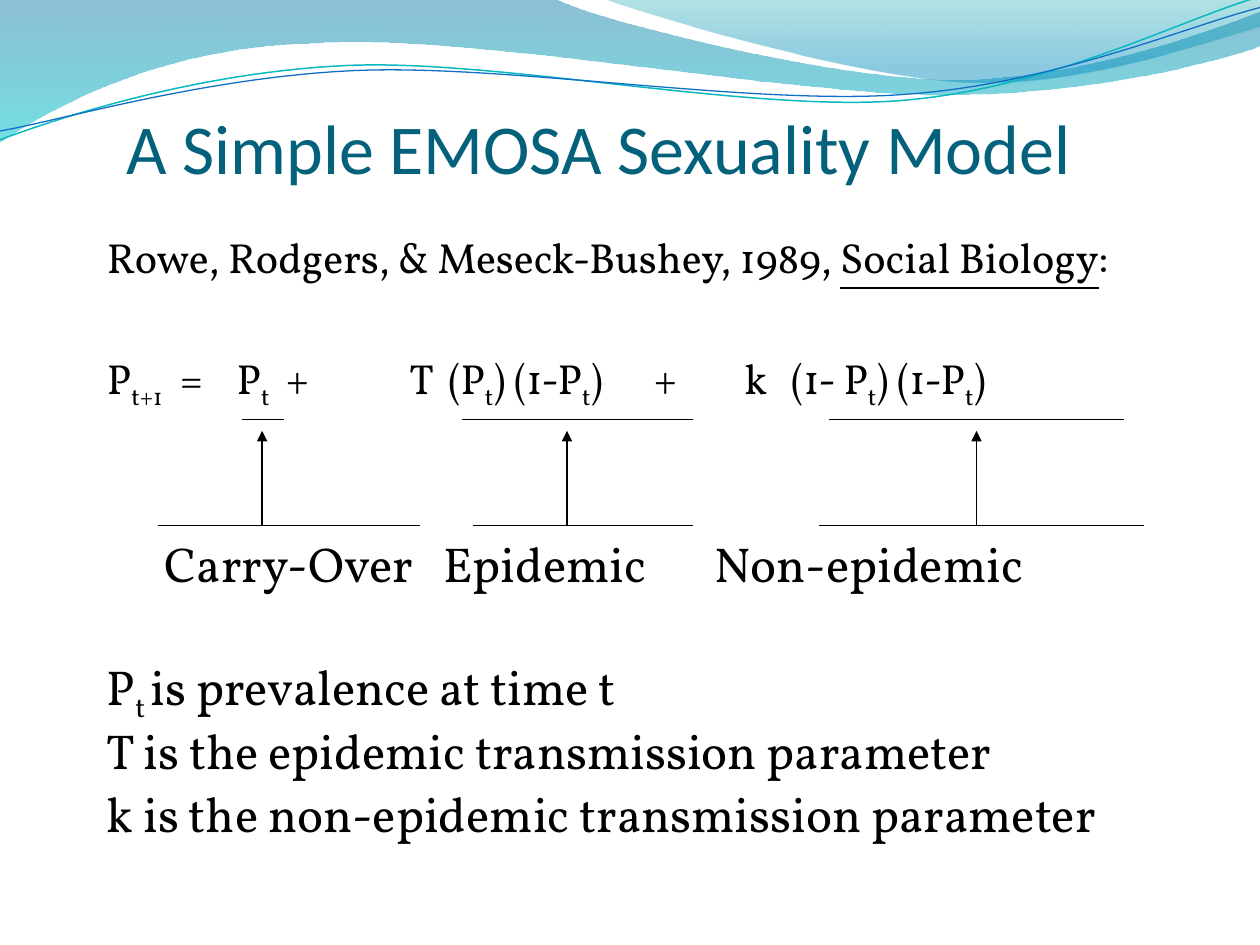
from pptx import Presentation
from pptx.dml.color import RGBColor
from pptx.enum.shapes import MSO_CONNECTOR
from pptx.enum.text import MSO_ANCHOR, MSO_AUTO_SIZE, PP_ALIGN
from pptx.oxml.ns import qn
from pptx.util import Inches, Pt
from lxml.etree import SubElement

BLACK = RGBColor(0x00, 0x00, 0x00)
TITLE = RGBColor(0x04, 0x61, 0x7B)
DEEP = RGBColor(0x00, 0x74, 0xA1)
AQUA = RGBColor(0x00, 0xC6, 0xCF)
TEAL = RGBColor(0x00, 0xA1, 0xA9)
SKY = RGBColor(0x00, 0x8B, 0xBF)
CYAN = RGBColor(0x0A, 0xB8, 0xBF)
BLUE = RGBColor(0x0F, 0x6F, 0xC6)

BANDS = [
    ([(0, 0), (4.4, -0.01),
      (4.76, 0.17, 6.64, 0.63, 7.58, 0.63), (8.53, 0.63, 9.58, 0.26, 10, 0.09),
      (10.01, 0.36),
      (9.83, 0.44, 8.7, 0.76, 7.46, 0.75), (6.22, 0.75, 3.82, 0.28, 2.57, 0.34),
      (1.29, 0.36, 0.46, 0.83, -0.01, 1.13)],
     [(0, DEEP, 45), (1, AQUA, 55)]),
    ([(4.79, -0.01),
      (5.09, 0.11, 6.82, 0.62, 7.69, 0.65), (8.56, 0.69, 9.61, 0.32, 10, 0.21),
      (10, 0)],
     [(0, TEAL, 30), (0.8, SKY, 45)]),
]
STRANDS = [
    ([(0, 1.11), (0.48, 0.93, 1.58, 0.57, 2.77, 0.52),
      (3.95, 0.47, 5.93, 0.89, 7.13, 0.8), (8.33, 0.71, 9.38, 0.15, 9.98, -0.02)],
     CYAN, 0.85),
    ([(0, 1.04), (0.47, 0.96, 1.64, 0.61, 2.83, 0.56),
      (4.03, 0.51, 5.97, 0.84, 7.17, 0.75), (8.36, 0.67, 9.41, 0.21, 10, 0.06)],
     BLUE, 0.75),
]

LINES = [
    ("Rowe, Rodgers, & Meseck-Bushey, 1989, _Social Biology_:",
     {"underline": True}, 24, 0, 26, []),
    ("P_t+1_\t=\tP_t_\t+\tT\t(P_t_) (1-P_t_)\t+\tk\t(1- P_t_) (1-P_t_)",
     None, 24, 41, 32, [0.58, 1.03, 1.42, 2.4, 2.71, 4.34, 5.06, 5.43]),
    ("\tCarry-Over\tEpidemic\tNon-epidemic", None, 28, 68, 36, [0.46, 2.67, 4.82]),
    ("P_t _is prevalence at time t", None, 28, 39, 36, []),
    ("T is the epidemic transmission parameter", None, 28, 0, 32, []),
    ("k is the non-epidemic transmission parameter", None, 28, 0, 36, []),
]

TERMS = [
    (0.83, (0, 2.08), (0.67, 1)),
    (3.25, (2.5, 4.25), (2.42, 4.25)),
    (6.5, (5.25, 7.83), (5.33, 7.67)),
]


def apply(item, style):
    for name, value in style.items():
        setattr(item, name, value)


def add_curve(slide, box, steps, close):
    left, top = box[:2]
    dots = [(left + Inches(s[-2]), top + Inches(s[-1])) for s in steps]
    pen = slide.shapes.build_freeform(*dots[0], scale=1.0)
    pen.add_line_segments(dots[1:], close=close)
    shape = pen.convert_to_shape()
    shape.shadow.inherit = False
    edges = list(shape._element.iter(qn("a:lnTo")))
    for edge, step in zip(edges, steps[1:]):
        if len(step) == 6:
            edge.clear()
            bend = SubElement(edge.getparent(), qn("a:cubicBezTo"))
            edge.getparent().replace(edge, bend)
            for x, y in zip(step[::2], step[1::2]):
                knot = SubElement(bend, qn("a:pt"))
                knot.set("x", str(left + Inches(x) - shape.left))
                knot.set("y", str(top + Inches(y) - shape.top))
    return shape


def add_waves(slide, box):
    for steps, stops in BANDS:
        band = add_curve(slide, box, steps, True)
        band.line.fill.background()
        band.fill.gradient()
        band.fill.gradient_angle = 270
        for stop, (place, color, alpha) in zip(band.fill.gradient_stops, stops):
            stop.position = place
            stop.color.rgb = color
        tones = band._element.spPr.iter(qn("a:srgbClr"))
        for tone, (place, color, alpha) in zip(list(tones), stops):
            SubElement(tone, qn("a:alpha")).set("val", str(alpha * 1000))
    for steps, color, width in STRANDS:
        strand = add_curve(slide, box, steps, False)
        strand.fill.background()
        strand.line.color.rgb = color
        strand.line.width = Pt(width)


def add_title(slide, box):
    title = slide.shapes.title
    apply(title, dict(zip(("left", "top", "width", "height"), box)))
    frame = title.text_frame
    frame.text = "A Simple EMOSA Sexuality Model"
    apply(frame, {"vertical_anchor": MSO_ANCHOR.BOTTOM, "word_wrap": True,
                  "auto_size": MSO_AUTO_SIZE.NONE, "margin_left": 0,
                  "margin_right": 0, "margin_top": Inches(0.05),
                  "margin_bottom": 0})
    para = frame.paragraphs[0]
    para.alignment = PP_ALIGN.LEFT
    apply(para.runs[0].font, {"name": "Calibri", "size": Pt(40)})
    para.runs[0].font.color.rgb = TITLE


def add_body(slide, box):
    frame = slide.shapes.add_textbox(*box).text_frame
    frame.word_wrap = True
    for n, (text, mark, size, gap, pitch, tabs) in enumerate(LINES):
        para = frame.add_paragraph() if n else frame.paragraphs[0]
        apply(para, {"space_before": Pt(gap), "line_spacing": Pt(pitch)})
        if tabs:
            stops = SubElement(para._p.get_or_add_pPr(), qn("a:tabLst"))
            for tab in tabs:
                stop = SubElement(stops, qn("a:tab"))
                stop.set("pos", str(Inches(tab)))
                stop.set("algn", "l")
        for k, part in enumerate(text.split("_")):
            run = para.add_run()
            run.text = part
            apply(run.font, {"name": "Vollkorn", "size": Pt(size)})
            run.font.color.rgb = BLACK
            if k % 2 and mark:
                apply(run.font, mark)
            elif k % 2:
                run.font._element.set("baseline", "-25000")


def add_rule(slide, start, end, arrow=False):
    rule = slide.shapes.add_connector(MSO_CONNECTOR.STRAIGHT, *start, *end)
    rule.line.color.rgb = BLACK
    rule.line.width = Pt(0.75)
    if arrow:
        SubElement(rule.line._get_or_add_ln(), qn("a:tailEnd")).set("type", "triangle")
    SubElement(rule._element.spPr, qn("a:effectLst"))


def add_terms(slide, box):
    left, top, width, height = box
    base = top + height
    for stem, low, high in TERMS:
        for span, y in ((low, base), (high, top)):
            add_rule(slide, *[(left + Inches(x), y) for x in span])
        x = left + Inches(stem)
        add_rule(slide, (x, base), (x, top + Inches(0.09)), True)


def main():
    deck = Presentation()
    apply(deck, {"slide_width": Inches(10), "slide_height": Inches(7.5)})
    slide = deck.slides.add_slide(deck.slide_layouts[5])
    parts = [
        (add_waves, (0, 0, 10, 1.14)),
        (add_title, (1, 0.25, 9, 1.25)),
        (add_body, (0.75, 1.83, 9.08, 5.29)),
        (add_terms, (1.25, 3.33, 7.83, 0.84)),
    ]
    for draw, box in parts:
        draw(slide, [Inches(v) for v in box])
    deck.save("out.pptx")


if __name__ == "__main__":
    main()
